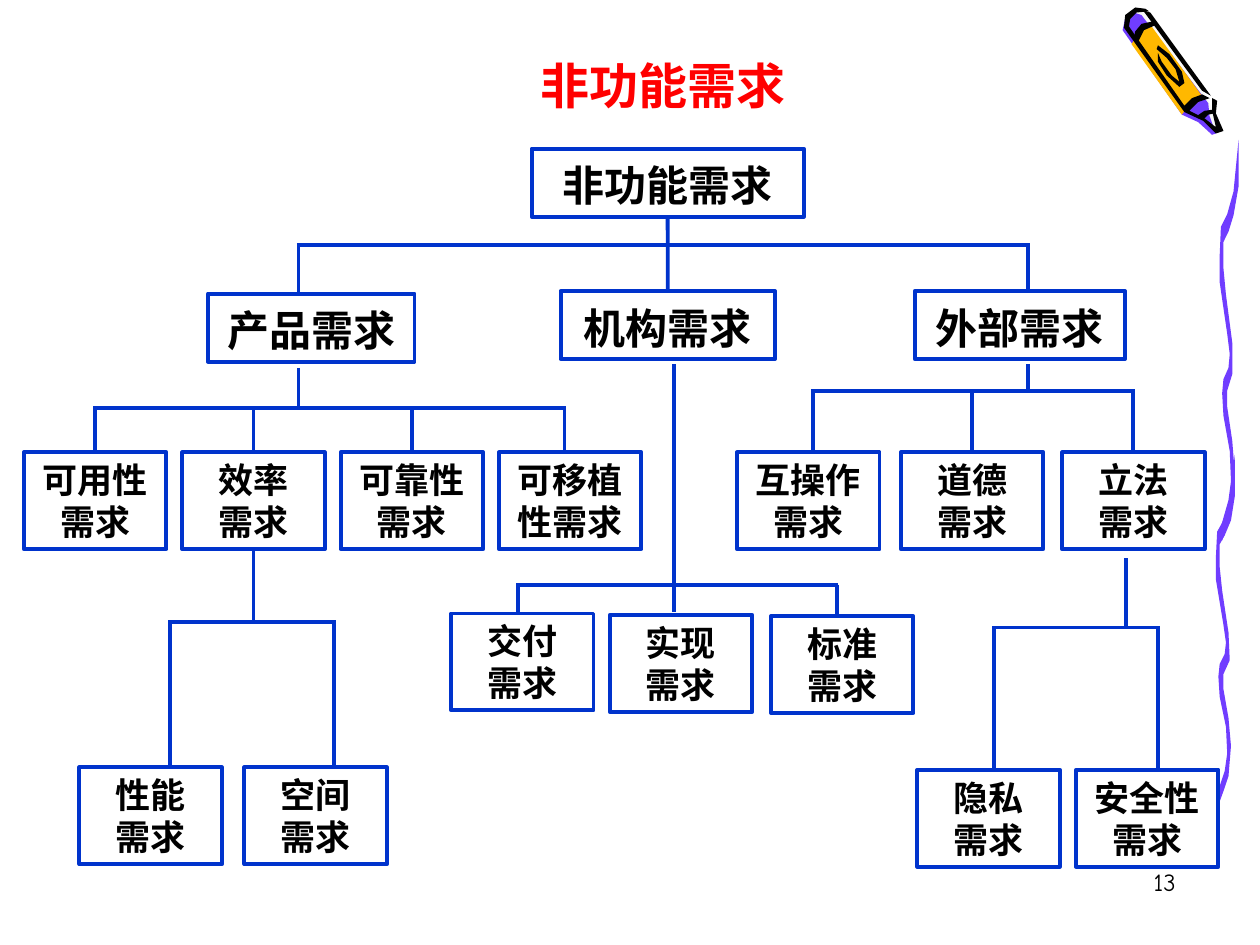
from lxml import etree
from pptx import Presentation
from pptx import util as u
from pptx.dml.color import RGBColor
from pptx.enum import shapes, text
from pptx.oxml.ns import qn

BLUE, BLACK, RED = "0033CC", "000000", "FF0000"
PURPLE, AMBER, PALE = "703DFF", "FFB800", "F8F8F8"
SERIF = "Times New Roman"
LEAF_W, LEAF_H, HEAD_H = 81.4, 55.4, 38.9
BOTTOM, TOP = 2, 0  # connection sites of a rectangle
SNAP = 2  # a line this near to a box centre is joined to it

# Outlines as x, y pairs; one unit is 0.72 pt
RIBBONS = [
    (966, 630, 972, 612, 974, 598, 973, 577, 968, 553, 967, 537, 968, 527, 972, 519, 973, 510,
     971, 496, 965, 460, 965, 442, 966, 422, 971, 413, 976, 397, 980, 361, 980, 394, 977, 413,
     972, 425, 968, 432, 968, 450, 970, 469, 975, 502, 976, 524, 971, 535, 971, 547, 975, 570,
     977, 592, 975, 616, 971, 628, 967, 639),
    (969, 418, 975, 397, 977, 382, 976, 358, 971, 330, 970, 312, 971, 301, 975, 292, 976, 281,
     974, 265, 968, 224, 968, 203, 969, 180, 974, 170, 979, 152, 983, 111, 983, 148, 979, 171,
     975, 184, 971, 192, 971, 213, 973, 234, 978, 272, 978, 297, 974, 310, 974, 323, 978, 350,
     980, 375, 978, 402, 974, 417, 970, 429),
]
CRAYON = [
    (PALE, (968, 102, 963, 88, 952, 66, 909, 9, 902, 7, 896, 12, 894, 22, 941, 88, 956, 95,
            966, 104)),
    (PURPLE, (906, 12, 959, 82, 960, 92, 965, 106, 962, 107, 951, 97, 938, 91, 891, 24,
              893, 15, 900, 10)),
    (AMBER, (898, 35, 938, 91, 946, 81, 956, 79, 914, 21, 905, 25)),
    (BLACK, (963, 87, 956, 88, 950, 92, 956, 94, 959, 91, 964, 90)),
    (BLACK, (909, 7, 901, 6, 893, 12, 892, 22, 940, 89, 955, 96, 965, 106, 971, 104, 965, 90,
             966, 80, 962, 78, 962, 88, 965, 101, 956, 94, 944, 88, 951, 81, 960, 78, 954, 75,
             946, 78, 940, 84, 896, 21, 897, 15, 902, 10, 912, 9)),
    (BLACK, (913, 10, 961, 76, 954, 72, 907, 8)),
    (BLACK, (915, 17, 906, 19, 901, 25, 900, 30, 903, 34, 908, 24, 917, 20)),
    (BLACK, (918, 39, 926, 46, 933, 55, 936, 65, 930, 60, 922, 49, 919, 42, 919, 49, 926, 60,
             936, 69, 940, 66, 938, 57, 928, 43, 919, 36)),
]


def color(value):
    return RGBColor.from_string(value)


def write(sp, words, size, align, font=SERIF, fill=BLACK, bold=True, spacing=None, wrap=True):
    tf = sp.text_frame
    tf.text = words
    tf.word_wrap = wrap
    tf.vertical_anchor = text.MSO_ANCHOR.TOP
    for p in tf.paragraphs:
        p.alignment = align
        if spacing:
            p.line_spacing = spacing
        for r in p.runs:
            r.font.name, r.font.size, r.font.bold = font, u.Pt(size), bold
            r.font.color.rgb = color(fill)


def add_label(s, x, y, w, h, words, size, align, **style):
    sp = s.shapes.add_textbox(u.Pt(x), u.Pt(y), u.Pt(w), u.Pt(h))
    write(sp, words, size, align, **style)


def add_box(s, x, y, w, h, words, size, spacing=None):
    sp = s.shapes.add_shape(shapes.MSO_SHAPE.RECTANGLE, u.Pt(x), u.Pt(y), u.Pt(w), u.Pt(h))
    sp.shadow.inherit = False
    sp.fill.background()
    sp.line.color.rgb = color(BLUE)
    sp.line.width = u.Pt(2.25)
    write(sp, words, size, text.PP_ALIGN.CENTER, spacing=spacing)
    return sp


def add_head(s, x, y, w, words):
    return add_box(s, x, y, w, HEAD_H, words, 24, 1.1)


def add_leaf(s, x, y, words):
    return add_box(s, x, y, LEAF_W, LEAF_H, words, 20)


def add_line(s, x1, y1, x2, y2):
    c = s.shapes.add_connector(shapes.MSO_CONNECTOR.STRAIGHT,
                               u.Pt(x1), u.Pt(y1), u.Pt(x2), u.Pt(y2))
    c.line.color.rgb = color(BLUE)
    c.line.width = u.Pt(2.25)
    etree.SubElement(c._element.spPr, qn("a:effectLst"))
    return c


def snap(x, box):
    """Return the x to use, and whether it is the middle of the box."""
    middle = u.Length(box.left + box.width // 2).pt
    return (middle, True) if abs(x - middle) < SNAP else (x, False)


def add_branch(s, parent, trunk_x, trunk_top, bar_y, drops, through=None):
    """Trunk below the parent, a bar, and a drop to each child."""
    x, joined = snap(trunk_x, parent)
    end_y = u.Length(through.top).pt - 1.5 if through else bar_y
    trunk = add_line(s, x, trunk_top, x, end_y)
    if joined:
        trunk.begin_connect(parent, BOTTOM)
    if through and snap(x, through)[1]:
        trunk.end_connect(through, TOP)
    ends = []
    for drop_x, child in drops:
        x, joined = snap(drop_x, child)
        drop = add_line(s, x, bar_y, x, u.Length(child.top).pt)
        if joined:
            drop.end_connect(child, TOP)
        ends.append(x)
    add_line(s, ends[0] - 1, bar_y, ends[-1] + 1, bar_y)


def add_outline(s, fill, flat):
    points = list(zip(flat[::2], flat[1::2]))
    builder = s.shapes.build_freeform(*points[0], scale=u.Pt(0.72))
    builder.add_line_segments(points[1:], close=True)
    sp = builder.convert_to_shape()
    sp.shadow.inherit = False
    sp.fill.solid()
    sp.fill.fore_color.rgb = color(fill)
    sp.line.fill.background()


def main():
    prs = Presentation()
    prs.slide_width, prs.slide_height = u.Pt(720), u.Pt(540)
    s = prs.slides.add_slide(prs.slide_layouts[6])

    # Decoration: wavy ribbon and crayon
    for ribbon in RIBBONS:
        add_outline(s, PURPLE, ribbon)
    for fill, flat in CRAYON:
        add_outline(s, fill, flat)

    # Title and page number
    add_label(s, 301.7, 28.1, 154.1, 41, "非功能需求", 28, text.PP_ALIGN.LEFT,
              fill=RED, wrap=False)
    add_label(s, 529.2, 491.8, 149.8, 36, "13", 14, text.PP_ALIGN.RIGHT,
              font="Comic Neue", bold=False)

    # Root and the three groups
    root = add_head(s, 303.8, 85, 155.5, "非功能需求")
    product = add_head(s, 118.8, 167.8, 118.1, "产品需求")
    organisation = add_head(s, 320.4, 166.3, 122.4, "机构需求")
    external = add_head(s, 522.7, 166.3, 120.2, "外部需求")

    # Requirements under each group
    product_words = ["可用性\n需求", "效率\n需求", "可靠性\n需求", "可移植\n性需求"]
    usable, efficient, reliable, portable = [
        add_leaf(s, 13.7 + 90.5 * i, 258.5, words) for i, words in enumerate(product_words)]
    interop = add_leaf(s, 421.2, 258.5, "互操作\n需求")
    ethical = add_leaf(s, 514.8, 258.5, "道德\n需求")
    legal = add_leaf(s, 607, 258.5, "立法\n需求")
    delivery = add_leaf(s, 257.8, 350.6, "交付\n需求")
    implementation = add_leaf(s, 348.5, 351.4, "实现\n需求")
    standard = add_leaf(s, 440.6, 352.1, "标准\n需求")
    performance = add_leaf(s, 45.4, 438.5, "性能\n需求")
    space = add_leaf(s, 139.7, 438.5, "空间\n需求")
    privacy = add_leaf(s, 524.2, 439.9, "隐私\n需求")
    safety = add_leaf(s, 614.9, 439.9, "安全性需求")

    # Branches of the tree
    add_branch(s, root, 383, 121, 140, [(170.6, product), (587.5, external)], organisation)
    add_branch(s, product, 170.6, 210.2, 233.3,
               [(54, usable), (144, efficient), (234.7, reliable), (322.6, portable)])
    add_branch(s, organisation, 385.2, 208.1, 334.1,
               [(295.9, delivery), (478.1, standard)], implementation)
    add_branch(s, external, 587.5, 208.1, 223.2,
               [(464.4, interop), (556.6, ethical), (649.4, legal)])
    add_branch(s, efficient, 146.2, 316.8, 355.7, [(97.2, performance), (190.8, space)])
    add_branch(s, legal, 643.7, 319, 358.6, [(568.1, privacy), (661.7, safety)])

    prs.save("out.pptx")


if __name__ == "__main__":
    main()
